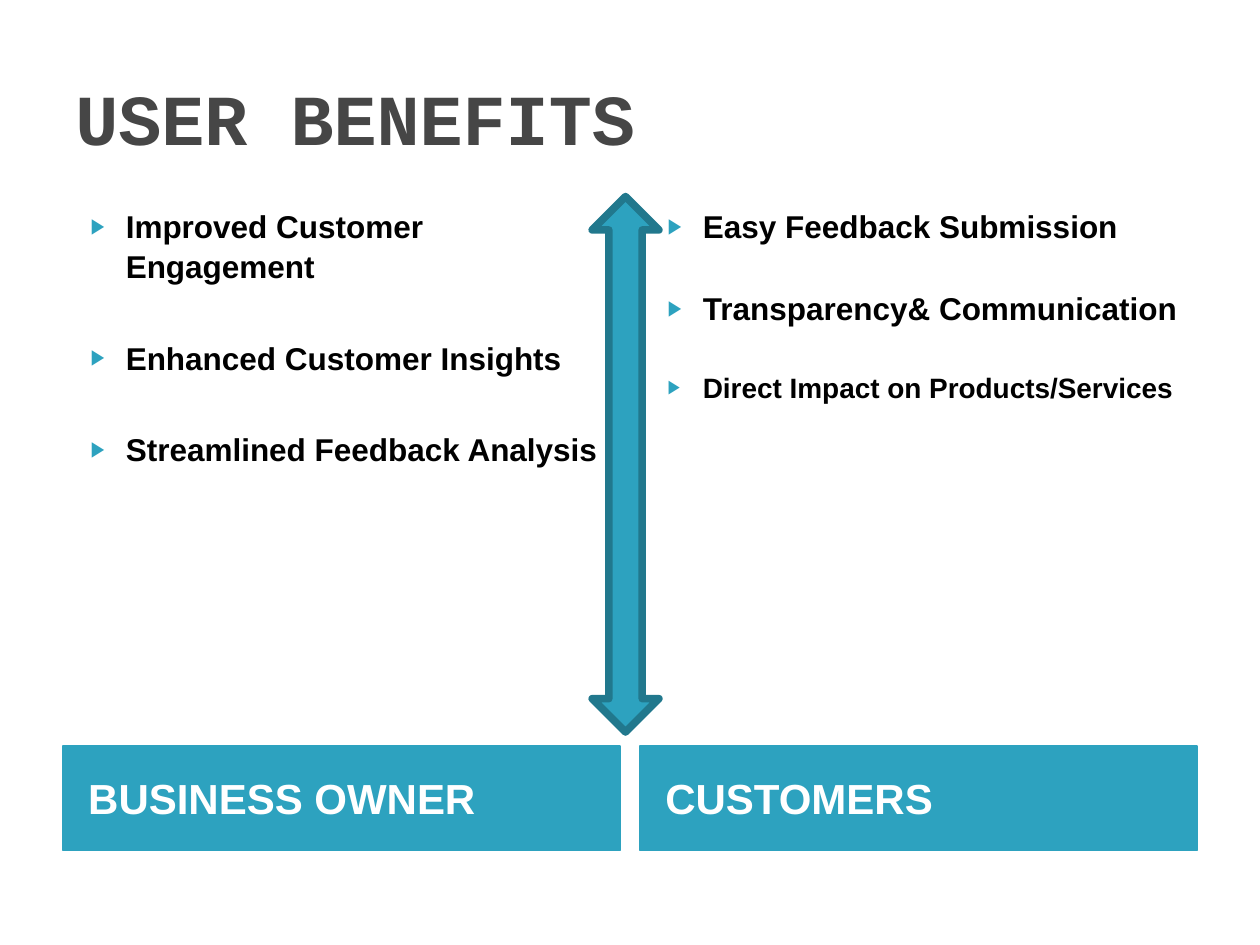
from lxml import etree
from pptx import Presentation
from pptx.dml.color import RGBColor
from pptx.enum import shapes, text
from pptx.oxml.ns import qn
from pptx.util import Inches, Pt

TEAL, DARK_TEAL = "2DA2BF", "21788D"
GRAY, BLACK, WHITE = "464646", "000000", "FFFFFF"


def color(hex_string):
    return RGBColor.from_string(hex_string)


class Deck:
    font = "Arial"

    def __init__(self, width, height):
        self.prs = Presentation()
        self.prs.slide_width, self.prs.slide_height = Inches(width), Inches(height)
        self.slide = self.prs.slides.add_slide(self.prs.slide_layouts[6])

    def run(self, p, words, size, fill, font=None):
        r = p.add_run()
        r.text = words
        r.font.name = font or self.font
        r.font.size = Pt(size)
        r.font.bold = True
        r.font.color.rgb = color(fill)

    def textbox(self, box, anchor):
        tf = self.slide.shapes.add_textbox(*map(Inches, box)).text_frame
        tf.word_wrap = True
        tf.vertical_anchor = anchor
        return tf

    def title(self, box, words):
        tf = self.textbox(box, text.MSO_ANCHOR.MIDDLE)
        self.run(tf.paragraphs[0], words, 41, GRAY, "Courier New")

    def shape(self, kind, box, line, width):
        sp = self.slide.shapes.add_shape(kind, *map(Inches, box))
        sp.shadow.inherit = False
        sp.fill.solid()
        sp.fill.fore_color.rgb = color(TEAL)
        sp.line.color.rgb = color(line)
        sp.line.width = Pt(width)
        return sp

    def banner(self, box, words):
        sp = self.shape(shapes.MSO_SHAPE.RECTANGLE, box, TEAL, 0.76)
        tf = sp.text_frame
        tf.margin_left = Inches(0.2)
        tf.vertical_anchor = text.MSO_ANCHOR.MIDDLE
        p = tf.paragraphs[0]
        p.alignment = text.PP_ALIGN.LEFT
        p.space_before = Pt(4)
        self.run(p, words, 24, WHITE)

    def arrow(self, box):
        sp = self.shape(shapes.MSO_SHAPE.UP_DOWN_ARROW, box, DARK_TEAL, 4.33)
        etree.SubElement(sp.line._get_or_add_ln(), qn("a:round"))

    def bullets(self, box, items, gap):
        tf = self.textbox(box, text.MSO_ANCHOR.TOP)
        for i, (words, size) in enumerate(items):
            p = tf.add_paragraph() if i else tf.paragraphs[0]
            p.line_spacing = 1.05
            if i:
                p.space_before = Pt(gap)
            self.bullet(p)
            self.run(p, words, size, BLACK)

    def bullet(self, p):
        pPr = p._p.get_or_add_pPr()
        pPr.set("marL", str(Inches(0.4)))
        pPr.set("indent", str(Inches(-0.28)))
        clr = etree.SubElement(pPr, qn("a:buClr"))
        etree.SubElement(clr, qn("a:srgbClr"), val=TEAL)
        etree.SubElement(pPr, qn("a:buSzPct"), val="68000")
        etree.SubElement(pPr, qn("a:buFont"), typeface=self.font)
        etree.SubElement(pPr, qn("a:buChar"), char="\u25b6")


deck = Deck(10, 7.5)
deck.title((0.5, 0.3, 9, 1.25), "USER BENEFITS")

# One column per audience: left edge, banner, paragraph gap, benefits
columns = [
    (0.5, "BUSINESS OWNER", 29.7, [
        ("Improved Customer Engagement", 18),
        ("Enhanced Customer Insights", 18),
        ("Streamlined Feedback Analysis", 18)]),
    (5.08, "CUSTOMERS", 24, [
        ("Easy Feedback Submission", 18),
        ("Transparency& Communication", 18),
        ("Direct Impact on Products/Services", 16)]),
]
for left, audience, gap, benefits in columns:
    deck.banner((left, 5.92, 4.42, 0.83), audience)
    deck.bullets((left, 1.58, 4.42, 4.31), benefits, gap)

# Divider between the columns
deck.arrow((4.7, 1.56, 0.53, 4.25))

deck.prs.save("out.pptx")
